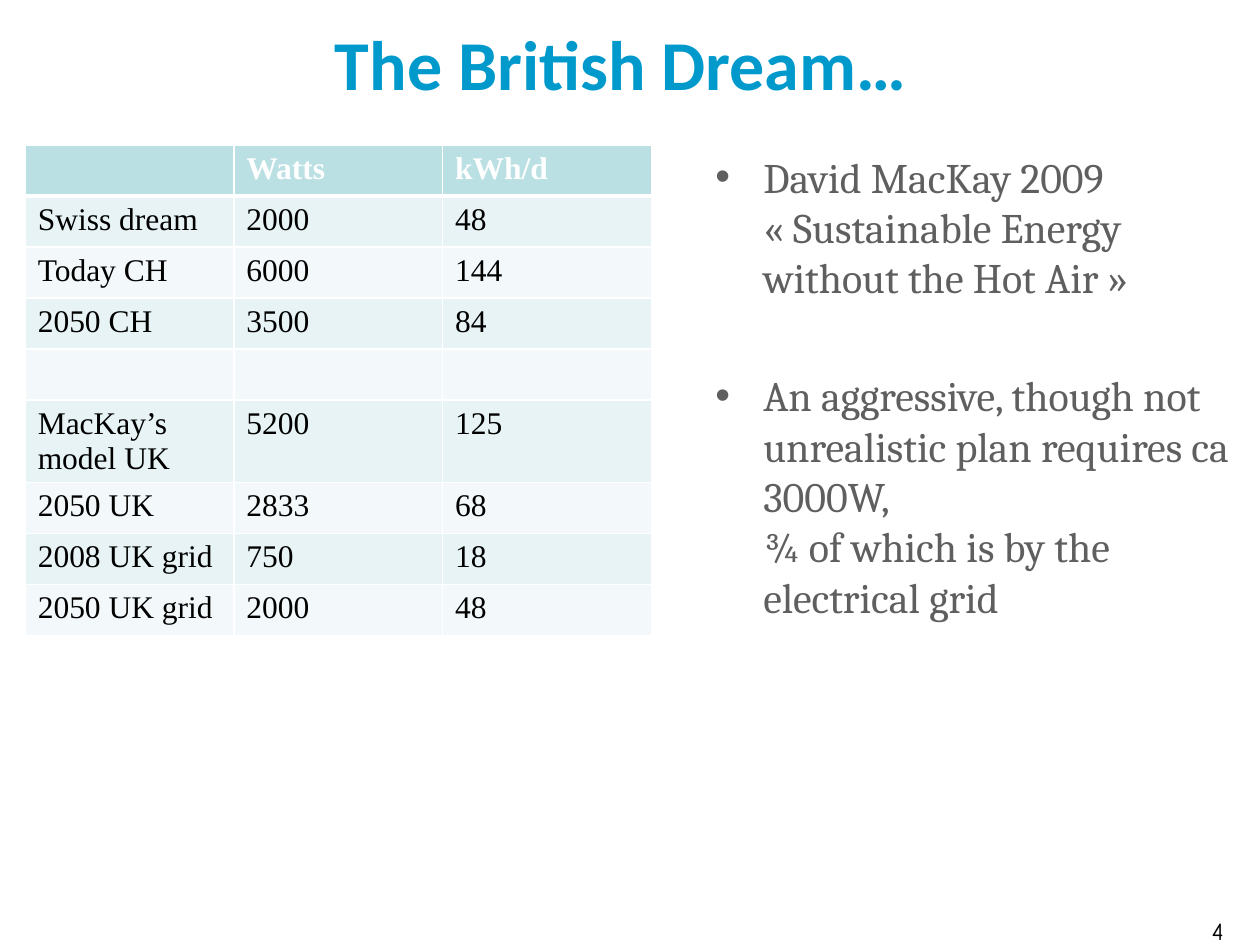
from lxml import etree
from pptx import Presentation
from pptx.dml.color import RGBColor
from pptx.enum import text
from pptx.oxml import ns
from pptx.util import Inches, Pt

COLORS = {
    "title": "0099CC",
    "body": "5F5F5F",
    "black": "000000",
    "white": "FFFFFF",
    "header": "BBE0E3",
    "odd": "E7F3F4",
    "even": "F3F9FA",
}
ROWS = [
    ("", "Watts", "kWh/d"),
    ("Swiss dream", "2000", "48"),
    ("Today CH", "6000", "144"),
    ("2050 CH", "3500", "84"),
    ("", "", ""),
    ("MacKay’s model UK", "5200", "125"),
    ("2050 UK", "2833", "68"),
    ("2008 UK grid", "750", "18"),
    ("2050 UK grid", "2000", "48"),
]
BULLETS = [
    ["David MacKay 2009 «\u00a0Sustainable Energy without the Hot Air\u00a0»"],
    ["An aggressive, though not unrealistic plan requires ca 3000W,",
     "¾ of which is by the electrical grid"],
]


def rgb(name):
    return RGBColor.from_string(COLORS[name])


def add_run(p, content, font, size, color, bold=False):
    r = p.add_run()
    r.text = content
    r.font.name = font
    r.font.size = Pt(size)
    r.font.bold = bold
    r.font.color.rgb = rgb(color)


def add_title(s, content):
    sp = s.shapes.title
    sp.left, sp.top = Inches(0.12), Inches(0)
    sp.width, sp.height = Inches(9.61), Inches(0.99)
    tf = sp.text_frame
    tf.vertical_anchor = text.MSO_ANCHOR.MIDDLE
    p = tf.paragraphs[0]
    p.alignment = text.PP_ALIGN.CENTER
    add_run(p, content, "Calibri", 40, "title", bold=True)


def set_borders(cell, bottom):
    """Draw white cell borders, 1 pt except for the bottom one."""
    tc_pr = cell._tc.get_or_add_tcPr()
    for tag, width in (("lnL", 1), ("lnR", 1), ("lnT", 1), ("lnB", bottom)):
        ln = etree.SubElement(tc_pr, ns.qn(f"a:{tag}"), w=str(Pt(width)))
        fill = etree.SubElement(ln, ns.qn("a:solidFill"))
        etree.SubElement(fill, ns.qn("a:srgbClr"), val=COLORS["white"])


def add_energy_table(s):
    row_height = Inches(0.405)
    frame = s.shapes.add_table(len(ROWS), len(ROWS[0]), Inches(0.2), Inches(1.15),
                               Inches(4.97), row_height * len(ROWS))
    table = frame.table
    for i, row in enumerate(ROWS):
        header = i == 0
        table.rows[i].height = row_height
        fill = "header" if header else "odd" if i % 2 else "even"
        for j, value in enumerate(row):
            cell = table.cell(i, j)
            set_borders(cell, 3 if header else 1)
            cell.fill.solid()
            cell.fill.fore_color.rgb = rgb(fill)
            if value:
                add_run(cell.text_frame.paragraphs[0], value, "Times New Roman", 18,
                        "white" if header else "black", bold=header)


def add_text_box(s, left, top, width, height):
    tf = s.shapes.add_textbox(Inches(left), Inches(top),
                              Inches(width), Inches(height)).text_frame
    tf.word_wrap = True
    return tf


def set_bullet(p):
    p_pr = p._p.get_or_add_pPr()
    p_pr.set("marL", str(Inches(0.38)))
    p_pr.set("indent", str(-Inches(0.38)))
    etree.SubElement(p_pr, ns.qn("a:buFont"), typeface="Arial")
    etree.SubElement(p_pr, ns.qn("a:buChar"), char="•")


def add_bullets(s):
    tf = add_text_box(s, 5.58, 1.15, 4.3, 6.22)
    for i, lines in enumerate(BULLETS):
        p = tf.add_paragraph() if i else tf.paragraphs[0]
        p.space_before = Pt(38.5 if i else 4.8)
        set_bullet(p)
        for j, line in enumerate(lines):
            if j:
                p.add_line_break()
            add_run(p, line, "Cambria", 24, "body")


def add_page_number(s, number):
    p = add_text_box(s, 9.33, 7.22, 0.67, 0.28).paragraphs[0]
    p.alignment = text.PP_ALIGN.CENTER
    add_run(p, number, "Comic Neue", 14, "black")


def main():
    prs = Presentation()
    prs.slide_width, prs.slide_height = Inches(10), Inches(7.5)
    s = prs.slides.add_slide(prs.slide_layouts[5])
    add_title(s, "The British Dream…")
    add_energy_table(s)
    add_bullets(s)
    add_page_number(s, "4")
    prs.save("out.pptx")


if __name__ == "__main__":
    main()
